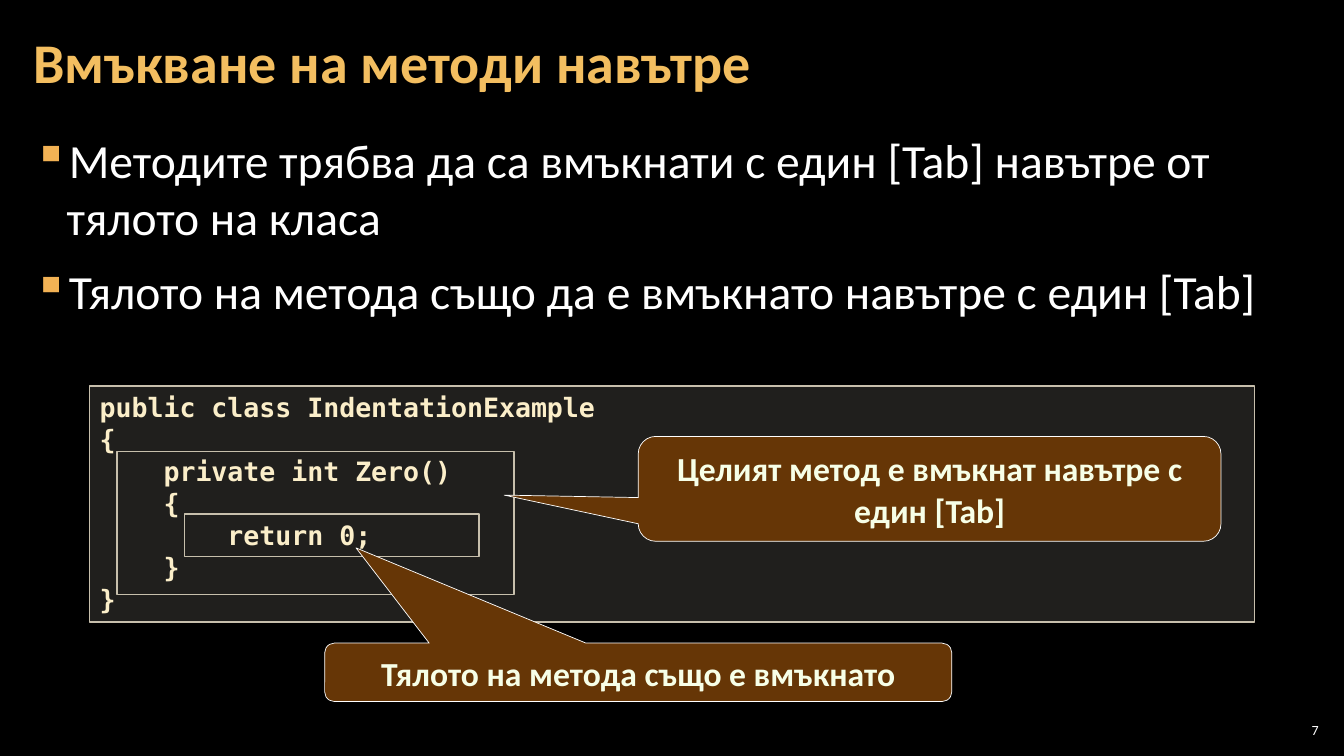
from lxml import etree
from pptx import Presentation
from pptx.dml.color import RGBColor
from pptx.enum.shapes import MSO_SHAPE
from pptx.enum.text import MSO_ANCHOR, PP_ALIGN
from pptx.oxml.ns import qn
from pptx.util import Inches, Pt

RECT = MSO_SHAPE.RECTANGLE
CALLOUT = MSO_SHAPE.ROUNDED_RECTANGULAR_CALLOUT
TOP, MIDDLE = MSO_ANCHOR.TOP, MSO_ANCHOR.MIDDLE
LEFT, CENTER, RIGHT = PP_ALIGN.LEFT, PP_ALIGN.CENTER, PP_ALIGN.RIGHT

SANS, MONO = "Calibri", "DejaVu Sans Mono"
COLORS = {
    "background": "000000",
    "title": "F3BE60",
    "bullet": "F2B254",
    "text": "FFFFFF",
    "panel": "D9D5C7",
    "frame": "C7BFAC",
    "code": "FBEEC9",
    "callout": "663606",
    "callout_text": "F7FFE7",
}

TITLE = "Вмъкване на методи навътре"
BULLETS = [
    "Методите трябва да са вмъкнати с един [Tab] навътре от тялото на класа",
    "Тялото на метода също да е вмъкнато навътре с един [Tab]",
]
CODE = """public class IndentationExample
{
    private int Zero()
    {
        return 0;
    }
}"""


def color(name):
    return RGBColor.from_string(COLORS[name])


class SlideBuilder:
    def __init__(self, slide):
        self.slide = slide
        fill = slide.background.fill
        fill.solid()
        fill.fore_color.rgb = color("background")

    def set_text(self, sp, lines, size, font_color, font=SANS, bold=False,
                 align=LEFT, anchor=TOP, margins=(0.1, 0.05), spacing=None):
        """Fill a shape with one paragraph per line and return the paragraphs."""
        tf = sp.text_frame
        tf.word_wrap = True
        tf.vertical_anchor = anchor
        tf.margin_left = tf.margin_right = Inches(margins[0])
        tf.margin_top = tf.margin_bottom = Inches(margins[1])
        tf.text = "\n".join(lines)
        for p in tf.paragraphs:
            p.alignment = align
            p.line_spacing = spacing
            p.font.name = font
            p.font.size = Pt(size)
            p.font.bold = bold
            p.font.color.rgb = color(font_color)
        return tf.paragraphs

    def text(self, box, lines, size, font_color, **style):
        sp = self.slide.shapes.add_textbox(*map(Inches, box))
        return self.set_text(sp, lines, size, font_color, **style)

    def bullets(self, box, lines):
        paragraphs = self.text(box, lines, 34, "text", margins=(0.12, 0.04))
        for i, p in enumerate(paragraphs):
            p.space_before = Pt(6 if i else 0)
            p.space_after = Pt(6)
            pPr = p._p.get_or_add_pPr()
            pPr.set("marL", str(Inches(0.33)))
            pPr.set("indent", str(-Inches(0.33)))
            bullet_color = etree.Element(qn("a:buClr"))
            etree.SubElement(bullet_color, qn("a:srgbClr"), val=COLORS["bullet"])
            mark = etree.Element(qn("a:buChar"), char="▪")
            at = pPr.index(pPr.find(qn("a:defRPr")))
            pPr[at:at] = [bullet_color, mark]

    def shape(self, kind, box, line, width, fill=None, alpha=None):
        sp = self.slide.shapes.add_shape(kind, *map(Inches, box))
        sp.shadow.inherit = False
        sp.line.color.rgb = color(line)
        sp.line.width = Pt(width)
        if fill is None:
            sp.fill.background()
            return sp
        sp.fill.solid()
        sp.fill.fore_color.rgb = color(fill)
        if alpha is not None:
            rgb = sp._element.spPr.find(qn("a:solidFill"))[0]
            etree.SubElement(rgb, qn("a:alpha"), val=str(alpha * 1000))
        return sp

    def frame(self, box):
        self.shape(RECT, box, "frame", 1)

    def code(self, box, source):
        sp = self.shape(RECT, box, "frame", 1, "panel", alpha=15)
        self.set_text(sp, source.splitlines(), 19, "code", font=MONO, bold=True)

    def callout(self, box, tip, words):
        """Tip is the pointer's offset from the centre, in shares of the box."""
        sp = self.shape(CALLOUT, box, "text", 0.5, "callout")
        sp.adjustments[0], sp.adjustments[1] = tip
        self.set_text(sp, [words], 24, "callout_text", bold=True, align=CENTER,
                      spacing=Pt(30))


def main():
    prs = Presentation()
    prs.slide_width, prs.slide_height = Inches(13.33), Inches(7.5)
    s = SlideBuilder(prs.slides.add_slide(prs.slide_layouts[6]))

    s.text((0.21, 0.04, 12.91, 1.21), [TITLE], 40, "title", bold=True,
           anchor=MIDDLE, margins=(0.12, 0.04), spacing=0.9)
    s.bullets((0.21, 1.26, 12.91, 6.09), BULLETS)
    s.code((0.89, 3.83, 11.55, 2.34), CODE)
    s.frame((1.16, 4.48, 3.94, 1.42))
    s.callout((6.33, 4.33, 5.78, 1.04), (-0.73, 0.06),
              "Целият метод е вмъкнат навътре с един [Tab]")
    s.frame((1.83, 5.1, 2.92, 0.42))
    s.callout((3.22, 6.38, 6.22, 0.58), (-0.45, -2.13),
              "Тялото на метода също е вмъкнато")
    s.text((12.65, 7.14, 0.47, 0.21), ["7"], 10, "text", align=RIGHT,
           anchor=MIDDLE, margins=(0.04, 0.04))

    prs.save("out.pptx")


if __name__ == "__main__":
    main()
